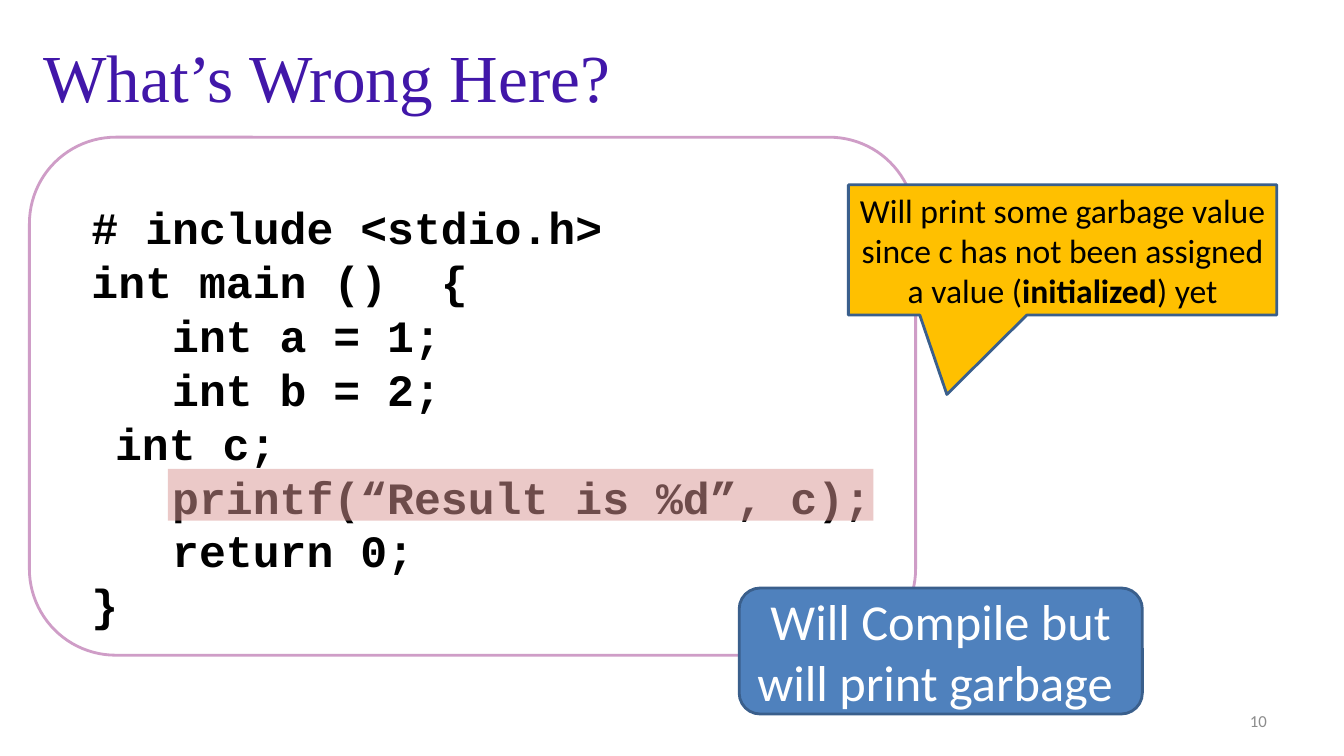
"""Build a slide about printing an uninitialized variable in C."""
from lxml import etree
from pptx import Presentation
from pptx.dml.color import RGBColor
from pptx.enum.shapes import MSO_SHAPE
from pptx.enum.text import MSO_ANCHOR, PP_ALIGN
from pptx.oxml.ns import qn
from pptx.util import Pt

RECT = MSO_SHAPE.RECTANGLE
ROUNDED = MSO_SHAPE.ROUNDED_RECTANGLE
CALLOUT = MSO_SHAPE.RECTANGULAR_CALLOUT
TOP, MIDDLE = MSO_ANCHOR.TOP, MSO_ANCHOR.MIDDLE
LEFT, CENTER, RIGHT = PP_ALIGN.LEFT, PP_ALIGN.CENTER, PP_ALIGN.RIGHT

CODE = [
    " # include <stdio.h>",
    " int main ()  {",
    "    int a = 1;",
    "    int b = 2;",
    "\tint c;",
    "    printf(“Result is %d”, c);",
    "    return 0;",
    " }",
]


def rgb(value):
    return RGBColor.from_string(value)


class SlideBuilder:
    """Hold the style and the current slide."""

    body_font = "Calibri"
    code_font = "Courier New"
    title_font = "Times New Roman"
    border = "3A5F8C"

    def __init__(self, prs):
        self.slide = prs.slides.add_slide(prs.slide_layouts[6])

    def shape(self, kind, box, fill, line=None, alpha=None):
        sp = self.slide.shapes.add_shape(kind, *map(Pt, box))
        sp.shadow.inherit = False
        sp.fill.solid()
        sp.fill.fore_color.rgb = rgb(fill)
        if alpha is not None:
            color = sp.element.spPr.find(qn("a:solidFill"))[0]
            etree.SubElement(color, qn("a:alpha")).set("val", str(alpha * 1000))
        if line:
            sp.line.color.rgb = rgb(line)
            sp.line.width = Pt(2)
        else:
            sp.line.fill.background()
        return sp

    def textbox(self, box, text, size, color, font=body_font, align=LEFT):
        sp = self.slide.shapes.add_textbox(*map(Pt, box))
        self.set_text(sp, [[text]], size, color, font, align)

    def set_text(self, sp, lines, size, color, font=body_font, align=CENTER,
                 anchor=MIDDLE, bold=(False, True, False), spacing=None):
        tf = sp.text_frame
        tf.word_wrap = True
        tf.vertical_anchor = anchor
        for i, parts in enumerate(lines):
            p = tf.add_paragraph() if i else tf.paragraphs[0]
            p.alignment = align
            if spacing:
                p.line_spacing = Pt(spacing)
            for part, strong in zip(parts, bold):
                r = p.add_run()
                r.text = part
                r.font.name = font
                r.font.size = Pt(size)
                r.font.bold = strong
                r.font.color.rgb = rgb(color)

    def code(self, box, lines):
        sp = self.shape(ROUNDED, box, "FFFFFF", "CF9DC7")
        sp.text_frame.margin_top = Pt(26.6)
        self.set_text(sp, [[line] for line in lines], 32, "000000",
                      self.code_font, LEFT, TOP, bold=(True,), spacing=38.5)

    def callout(self, box, parts, tip):
        sp = self.shape(CALLOUT, box, "FFC000", self.border)
        for i, value in enumerate(tip):
            sp.adjustments[i] = value
        self.set_text(sp, [parts], 24, "000000")

    def highlight(self, box):
        self.shape(RECT, box, "D99694", alpha=51)

    def verdict(self, box, text):
        sp = self.shape(ROUNDED, box, "4F81BD", self.border)
        self.set_text(sp, [[text]], 36, "FFFFFF")


def main():
    prs = Presentation()
    prs.slide_width, prs.slide_height = Pt(960), Pt(540)
    s = SlideBuilder(prs)
    s.textbox((24, 24, 864, 60), "What’s Wrong Here?", 48, "4117A9", s.title_font)
    s.code((21, 98, 633, 370), CODE)
    s.callout((606, 132, 306, 93),
              ["Will print some garbage value since c has not been assigned a value (",
               "initialized", ") yet"], (-0.27, 1.11))
    s.highlight((120, 335, 504, 37))
    s.verdict((528, 420, 288, 90), "Will Compile but will print garbage ")
    s.textbox((688, 500.5, 224, 29), "10", 12, "8C8C8C", align=RIGHT)
    prs.save("out.pptx")


if __name__ == "__main__":
    main()
